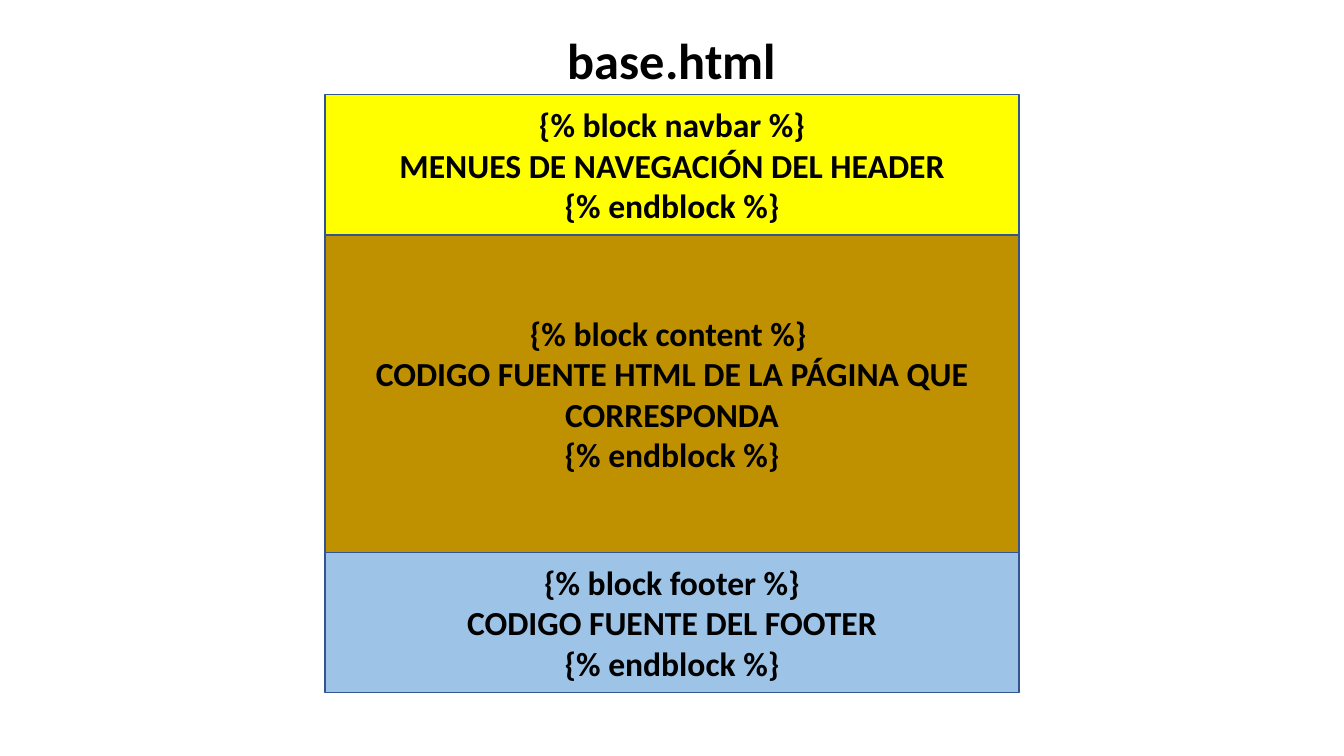
from dataclasses import dataclass
from pptx import Presentation
from pptx.dml.color import RGBColor
from pptx.enum.shapes import MSO_SHAPE
from pptx.enum.text import MSO_ANCHOR, MSO_AUTO_SIZE, PP_ALIGN
from pptx.util import Inches, Pt

RECTANGLE = MSO_SHAPE.RECTANGLE
MIDDLE = MSO_ANCHOR.MIDDLE
NO_AUTOFIT = MSO_AUTO_SIZE.NONE
CENTER = PP_ALIGN.CENTER


@dataclass(frozen=True)
class Theme:
    font: str = "Calibri"
    title_size: int = 36
    block_size: int = 24
    text: str = "000000"
    outline: str = "325491"
    navbar: str = "FFFF00"
    content: str = "BF9000"
    footer: str = "9DC3E6"


def write_lines(shape, lines, size):
    frame = shape.text_frame
    frame_format = {"word_wrap": True, "auto_size": NO_AUTOFIT, "vertical_anchor": MIDDLE}
    for name, value in frame_format.items():
        setattr(frame, name, value)
    frame.text = "\n".join(lines)
    font_format = {"name": theme.font, "size": Pt(size), "bold": True}
    for paragraph in frame.paragraphs:
        paragraph.alignment = CENTER
        for run in paragraph.runs:
            for name, value in font_format.items():
                setattr(run.font, name, value)
            run.font.color.rgb = RGBColor.from_string(theme.text)


def centered_box(top, width, height):
    return (
        round((1 - width) / 2 * slide_width),
        round(top * slide_height),
        round(width * slide_width),
        round(height * slide_height),
    )


theme = Theme()
presentation = Presentation()
slide_width, slide_height = Inches(13.33), Inches(7.5)
presentation.slide_width = slide_width
presentation.slide_height = slide_height
slide = presentation.slides.add_slide(presentation.slide_layouts[5])

page_top, page_width = 0.94 / 7.5, 6.88 / 13.33
title_width, title_height = 3.71 / 13.33, 0.71 / 7.5
band_height, content_height = 1.39 / 7.5, 3.15 / 7.5

title = slide.shapes.title
title_box = centered_box(page_top - title_height, title_width, title_height)
for name, value in zip(("left", "top", "width", "height"), title_box):
    setattr(title, name, value)
write_lines(title, ["base.html"], theme.title_size)

blocks = [
    (band_height, theme.navbar,
     ["{% block navbar %}", "MENUES DE NAVEGACIÓN DEL HEADER"]),
    (content_height, theme.content,
     ["{% block content %} ", "CODIGO FUENTE HTML DE LA PÁGINA QUE CORRESPONDA"]),
    (band_height, theme.footer,
     ["{% block footer %}", "CODIGO FUENTE DEL FOOTER"]),
]

top = page_top
for height, fill, lines in blocks:
    block = slide.shapes.add_shape(RECTANGLE, *centered_box(top, page_width, height))
    block.shadow.inherit = False
    block.fill.solid()
    block.fill.fore_color.rgb = RGBColor.from_string(fill)
    block.line.color.rgb = RGBColor.from_string(theme.outline)
    block.line.width = Pt(1)
    write_lines(block, lines + ["{% endblock %}"], theme.block_size)
    top += height

presentation.save("out.pptx")
